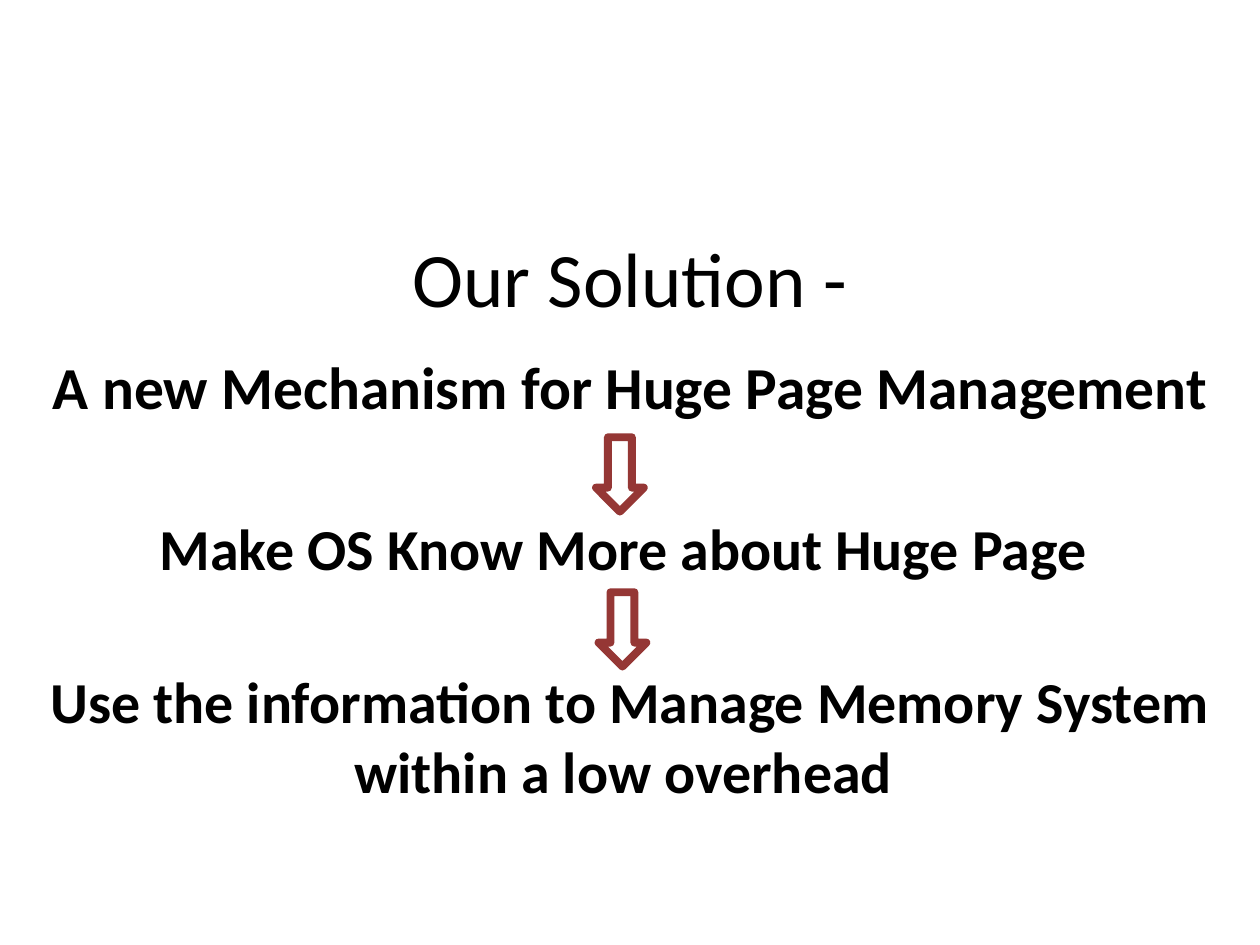
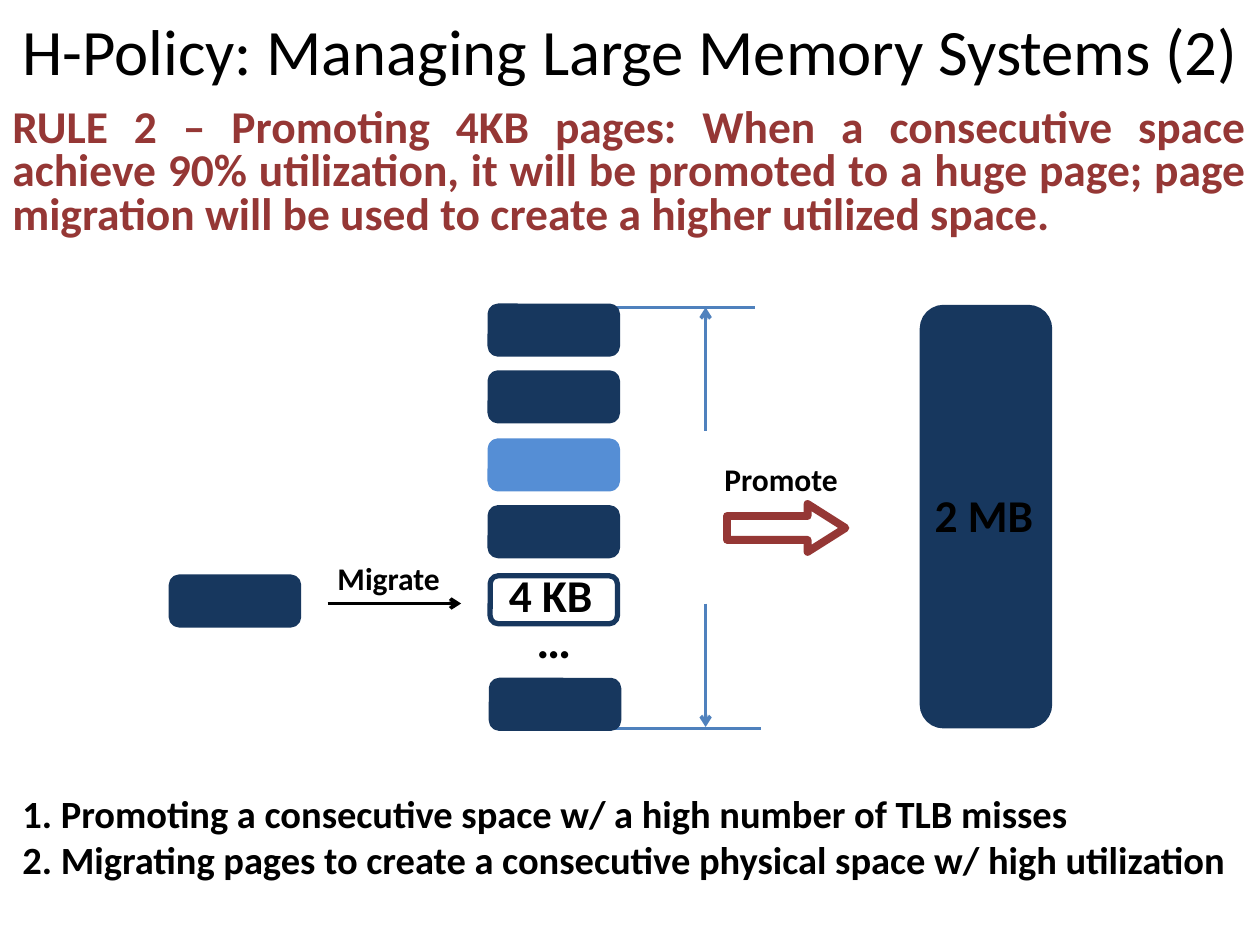
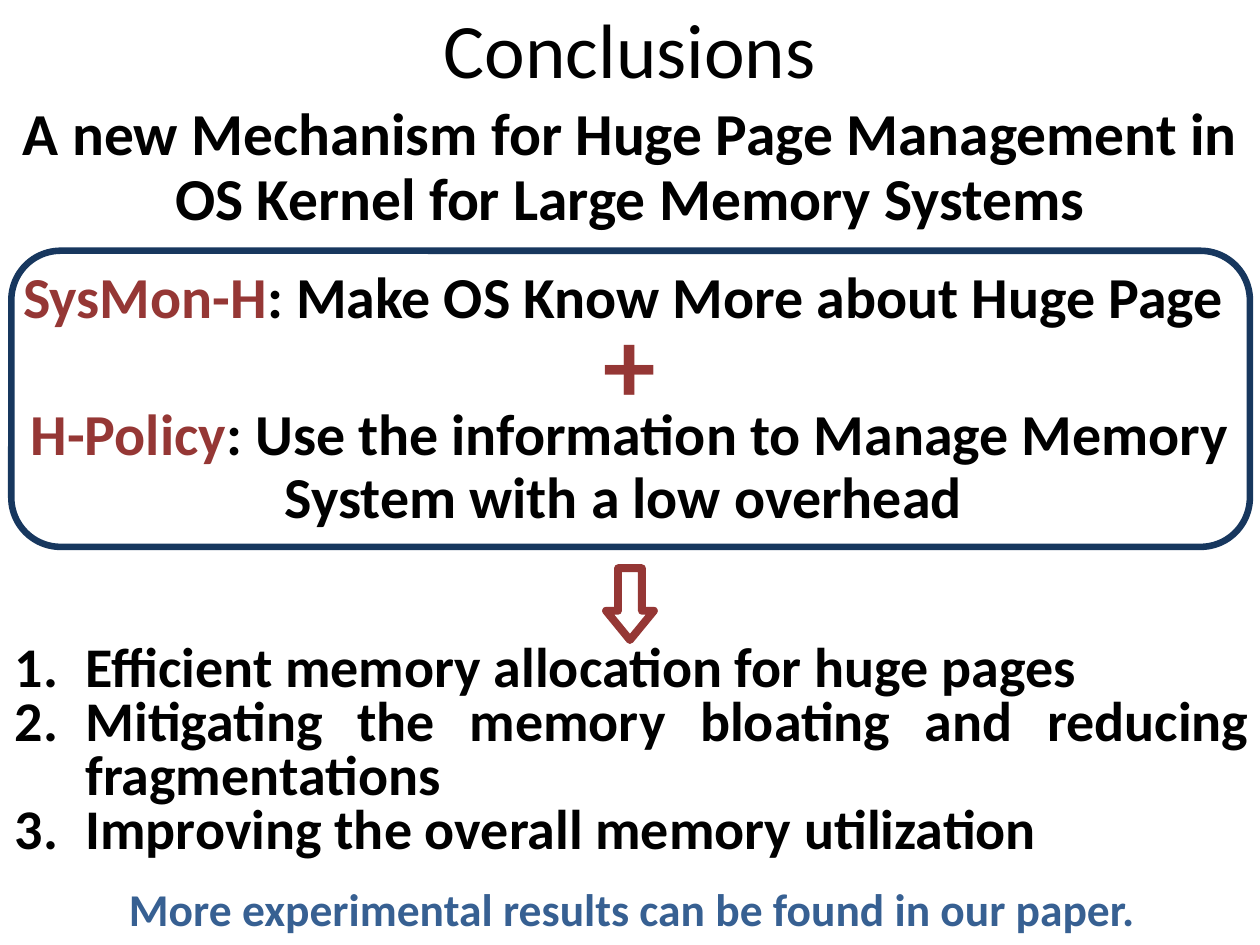
from lxml import etree
from pptx import Presentation
from pptx import util as u
from pptx.dml.color import RGBColor
from pptx.enum import shapes, text
from pptx.oxml import ns

SCALE = 9144  # EMU in one px, 100 px to the inch
WIDE = 1000
FONT = "Calibri"
BLACK, RED, NAVY = "000000", "953735", "17375E"
SKY, STEEL, BLUE = "558ED5", "4F81BD", "376092"
ALIGN = {"l": text.PP_ALIGN.LEFT, "c": text.PP_ALIGN.CENTER, "j": text.PP_ALIGN.JUSTIFY}
ROUND = shapes.MSO_SHAPE.ROUNDED_RECTANGLE
DOWN = shapes.MSO_SHAPE.DOWN_ARROW


def px(*nums):
    return [u.Emu(n * SCALE) for n in nums]


def hue(code):
    return RGBColor.from_string(code)


def style(item, **vals):
    for name, val in vals.items():
        setattr(item, name, val)


def child(node, tag, **vals):
    return etree.SubElement(node, ns.qn(tag), **vals)


def count(para):
    """Number a paragraph with a hanging indent."""
    props = para._p.get_or_add_pPr()
    props.set("marL", str(56 * SCALE))
    props.set("indent", str(-56 * SCALE))
    child(props, "a:buFont", typeface="+mj-lt")
    child(props, "a:buAutoNum", type="arabicPeriod")


def write(slide, box, paras, size, color=BLACK, align="c", bold=True,
          space=None, mid=False, num=False):
    """Add a text box; a paragraph is a string or a list of (words, colour)."""
    frame = slide.shapes.add_textbox(*px(*box)).text_frame
    style(frame, word_wrap=True,
          vertical_anchor=text.MSO_ANCHOR.MIDDLE if mid else text.MSO_ANCHOR.TOP,
          auto_size=text.MSO_AUTO_SIZE.NONE if mid else text.MSO_AUTO_SIZE.SHAPE_TO_FIT_TEXT)
    for i, runs in enumerate(paras):
        para = frame.add_paragraph() if i else frame.paragraphs[0]
        if num:
            count(para)
        style(para, alignment=ALIGN[align], line_spacing=space)
        for words, tint in [(runs, color)] if isinstance(runs, str) else runs:
            run = para.add_run()
            run.text = words
            style(run.font, name=FONT, size=u.Pt(size), bold=bold)
            run.font.color.rgb = hue(tint)


def title(slide, words, top, size=44):
    write(slide, (0, top, WIDE, 125), [words], size, bold=False, mid=True)


def claim(slide, top, runs, space=None):
    write(slide, (0, top, WIDE, 125), [runs], 33.1, space=space, mid=True)


def draw(slide, kind, box, line, width, fill=None, adj=(), turn=0):
    form = slide.shapes.add_shape(kind, *px(*box))
    form.shadow.inherit = False
    style(form, rotation=turn)
    for i, val in enumerate(adj):
        form.adjustments[i] = val
    if fill:
        form.fill.solid()
        form.fill.fore_color.rgb = hue(fill)
    else:
        form.fill.background()
    form.line.color.rgb = hue(line)
    form.line.width = u.Pt(width)


def arrow(slide, box, adj=(), turn=0):
    draw(slide, DOWN, box, RED, 4.5, adj=adj, turn=turn)


def block(slide, left, top, color=NAVY, high=38, solid=True):
    draw(slide, ROUND, (left, top, 101, high), color, 3, color if solid else None)


def rule(slide, ends, color=STEEL, head=True):
    line = slide.shapes.add_connector(shapes.MSO_CONNECTOR.STRAIGHT, *px(*ends))
    line.line.color.rgb = hue(color)
    line.line.width = u.Pt(2)
    if head:
        child(line.line._get_or_add_ln(), "a:tailEnd", type="arrow")
    child(line._element.spPr, "a:effectLst")


def plan(slide):
    title(slide, "Our Solution -", 157)
    write(slide, (0, 273, WIDE, 67), ["A new Mechanism for Huge Page Management"], 34)
    claim(slide, 372, "Make OS Know More about Huge Page ")
    claim(slide, 521, "Use the information to Manage Memory System within a low overhead ")
    arrow(slide, (473, 347, 38, 59))
    arrow(slide, (475, 470, 38, 59))


def policy(slide):
    title(slide, "H-Policy: Managing Large Memory Systems (2)", -23, 37)
    write(slide, (0, 81, WIDE, 117),
          ["RULE 2 – Promoting 4KB pages: When a consecutive space achieve 90% "
           "utilization, it will be promoted to a huge page; page migration will "
           "be used to create a higher utilized space. "],
          26, RED, "j", space=0.8)
    top, end, mid = 244, 578, 560
    rule(slide, (390, top, 599, top), head=False)
    rule(slide, (394, end, 604, end), head=False)
    rule(slide, (mid, 342, mid, top))
    rule(slide, (mid, 479, mid, 577))
    for i, color in enumerate([NAVY, NAVY, SKY, NAVY, NAVY]):
        block(slide, 389, 243 + i * 107 // 2, color, solid=i < 4)
    block(slide, 390, 540)
    write(slide, (389, 479, 101, 57), ["…"], 28)
    block(slide, 136, 458)
    rule(slide, (260, 479, 366, 479), BLACK)
    arrow(slide, (605, 372, 38, 94), (0.5, 0.79), 270)
    block(slide, 732, top, high=332)
    for words, left, y, wide, high, size in [
            ("Migrate", 258, 439, 115, 40, 18), ("Promote", 565, 360, 115, 40, 18),
            ("2 MB", 732, 382, 103, 54, 26), ("4 KB", 394, 445, 103, 54, 26)]:
        write(slide, (left, y, wide, high), [words], size, align="l")
    write(slide, (8, 622, WIDE, 84),
          ["1. Promoting a consecutive space w/ a high number of TLB misses",
           "2. Migrating pages to create a consecutive physical space w/ high utilization"],
          22, align="j")


def close(slide):
    title(slide, "Conclusions", -25)
    write(slide, (0, 78, WIDE, 114),
          ["A new Mechanism for Huge Page Management in OS Kernel for Large Memory Systems"],
          34, space=0.9)
    claim(slide, 172, [("SysMon-H", RED), (": Make OS Know More about Huge Page ", BLACK)])
    claim(slide, 309, [("H-Policy", RED),
                       (": Use the information to Manage Memory System with a low overhead ",
                        BLACK)], 0.9)
    write(slide, (0, 232, WIDE, 111), ["+"], 60, RED)
    draw(slide, ROUND, (9, 199, 983, 235), NAVY, 3.75)
    arrow(slide, (481, 451, 38, 57), (0.5, 0.61))
    write(slide, (2, 507, WIDE, 184),
          ["Efficient memory allocation for huge pages",
           "Mitigating the memory bloating and reducing fragmentations ",
           "Improving the overall memory utilization"],
          32, align="j", space=0.8, num=True)
    write(slide, (2, 703, WIDE, 47),
          ["More experimental results can be found in our paper."], 26, BLUE, space=0.8)


def main():
    deck = Presentation()
    deck.slide_width, deck.slide_height = px(WIDE, 750)
    for fill in (plan, policy, close):
        fill(deck.slides.add_slide(deck.slide_layouts[6]))
    deck.save("out.pptx")


if __name__ == "__main__":
    main()
